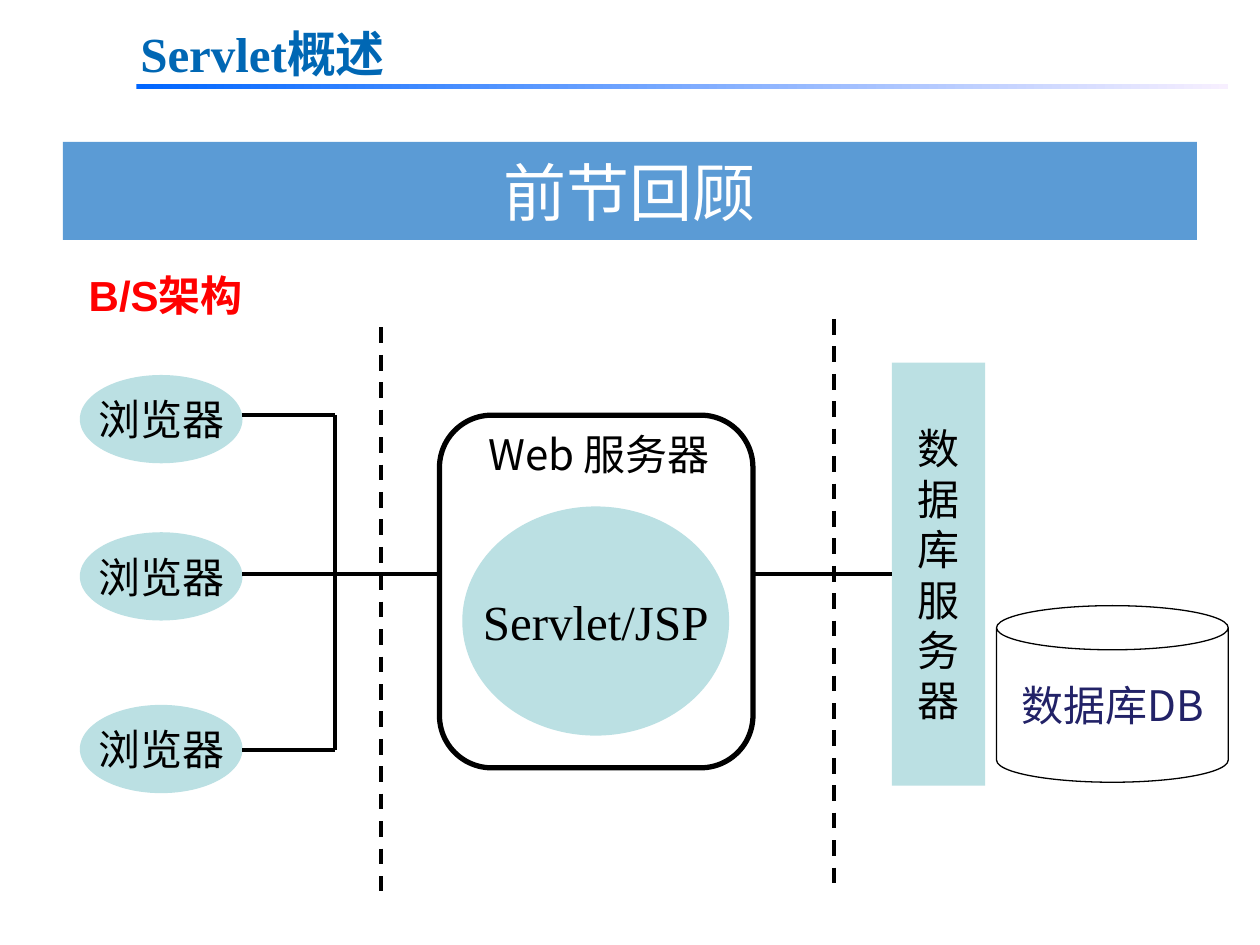
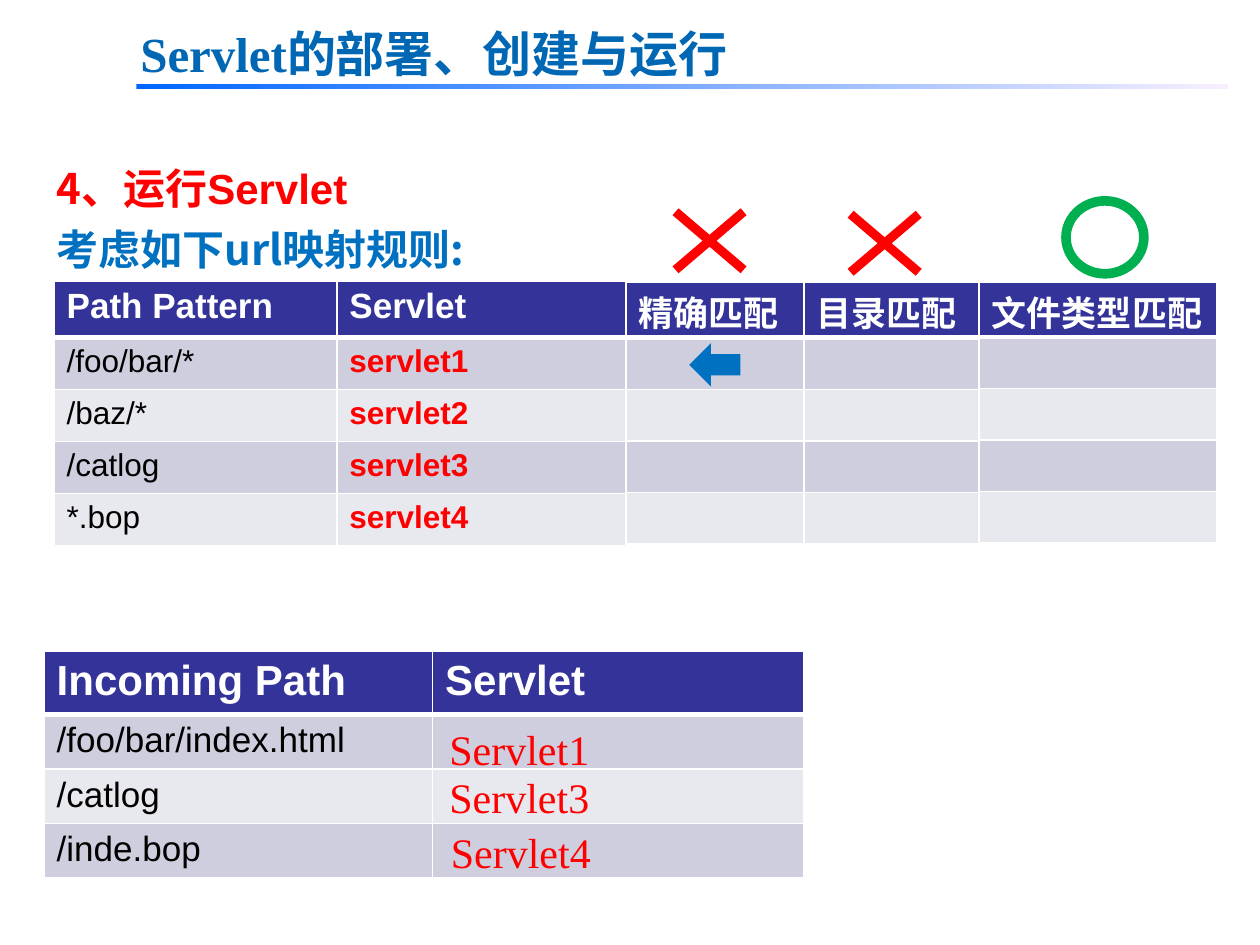
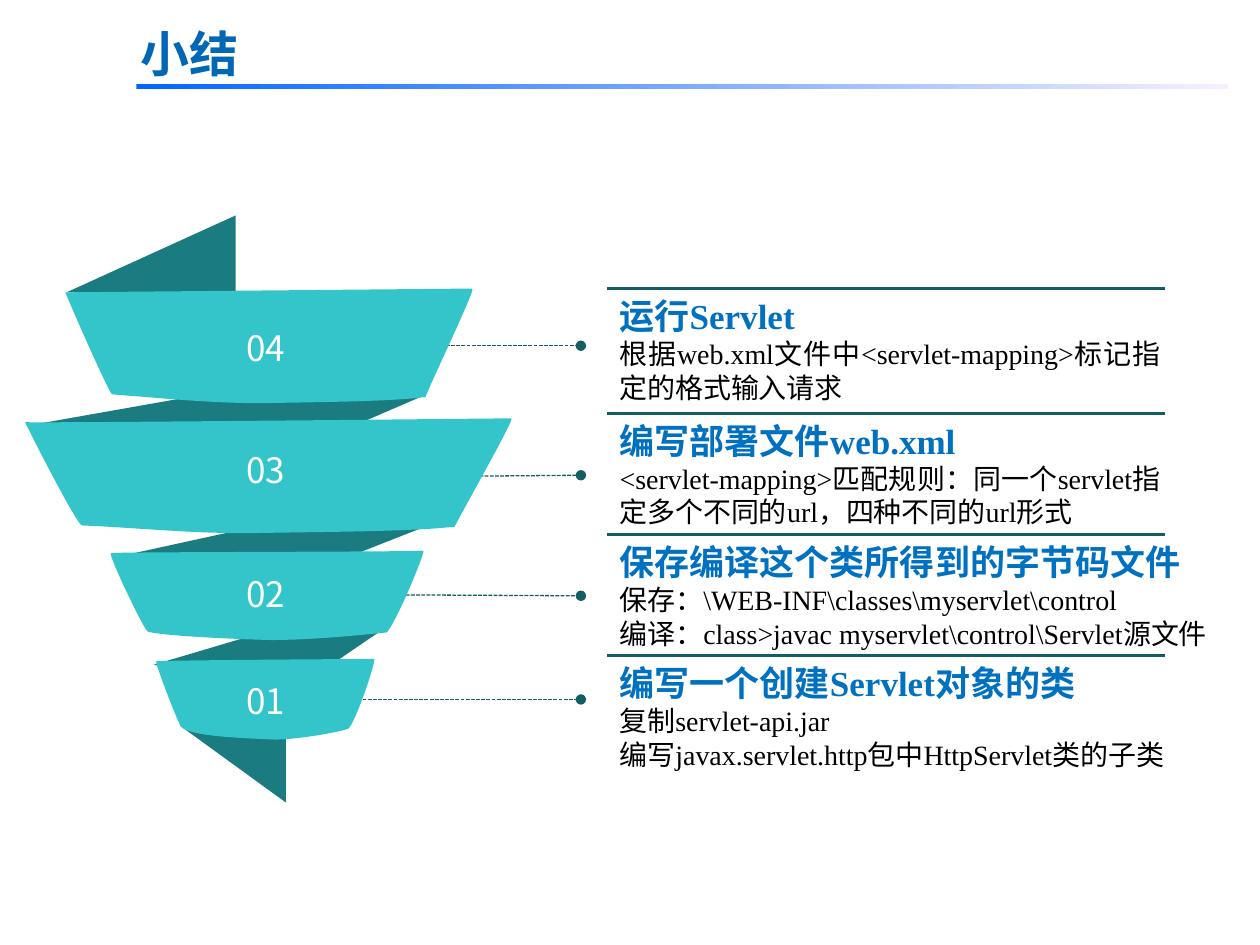
from dataclasses import dataclass, replace
from typing import NamedTuple, Optional

from lxml import etree
from pptx import Presentation
from pptx.dml.color import RGBColor
from pptx.enum.dml import MSO_LINE
from pptx.enum.shapes import MSO_CONNECTOR, MSO_SHAPE
from pptx.enum.text import MSO_ANCHOR, PP_ALIGN
from pptx.oxml.ns import qn
from pptx.util import Cm, Pt

RECTANGLE, OVAL, ROUNDED, CAN = (
    MSO_SHAPE.RECTANGLE, MSO_SHAPE.OVAL, MSO_SHAPE.ROUNDED_RECTANGLE, MSO_SHAPE.CAN)
CROSS, ARROW, RING = MSO_SHAPE.MATH_MULTIPLY, MSO_SHAPE.LEFT_ARROW, MSO_SHAPE.DONUT
STRAIGHT = MSO_CONNECTOR.STRAIGHT
DASH, FINE_DASH = MSO_LINE.DASH, MSO_LINE.SQUARE_DOT
LEFT, CENTER, JUSTIFY = PP_ALIGN.LEFT, PP_ALIGN.CENTER, PP_ALIGN.JUSTIFY
MIDDLE, BOTTOM = MSO_ANCHOR.MIDDLE, MSO_ANCHOR.BOTTOM

COLOURS = {
    "white": "FFFFFF", "black": "000000", "red": "FF0000", "green": "00B050",
    "title": "0067B4", "heading": "0070C0", "banner": "5B9BD5",
    "rule start": "0066FF", "rule end": "F7EFFF",
    "pale teal": "BBE0E3", "database": "222267",
    "header": "333399", "odd row": "CECEDE", "even row": "E8E8EF",
    "ribbon": "34C5CA", "ribbon back": "1A7B80", "dark teal": "145E62",
}
SANS, SERIF, ARIAL = "Noto Sans CJK SC", "Times New Roman", "Arial"
GRID = 0.0254  # ribbon grid unit in cm: the slide is 1000 units wide


class Area(NamedTuple):
    """Left, top, width and height in centimetres."""
    left: float
    top: float
    width: float
    height: float


@dataclass(frozen=True)
class Style:
    size: float
    colour: str = "black"
    font: str = SANS
    bold: bool = False
    leading: float = 1.2


@dataclass(frozen=True)
class Stroke:
    colour: str
    width: float
    dash: Optional[MSO_LINE] = None
    oval_ends: bool = False


@dataclass(frozen=True)
class Grid:
    left: float
    top: float
    columns: tuple
    header_height: float
    row_height: float
    rows: tuple
    header_style: Style
    column_styles: tuple


@dataclass(frozen=True)
class Step:
    """One ribbon of the funnel with its leader line and its explanation."""
    number: str
    number_top: float
    leader: tuple
    top: float
    width: float
    text: str
    outline: tuple


TITLE = Style(28, "title", SERIF, True)
LABEL = Style(24)
STEP_HEADING = Style(20, "heading", SERIF, True)
STEP_BODY = Style(16, font=SERIF)
WIRE = Stroke("black", 2.25)
BOUNDARY = Stroke("black", 2.25, DASH)
LEADER = Stroke("dark teal", 0.75, FINE_DASH, True)
DIVIDER = Stroke("dark teal", 1.5)


def rgb(name: str) -> RGBColor:
    return RGBColor.from_string(COLOURS[name])


# ---- Drawing helpers ----
def format_span(span, style: Style) -> None:
    span.font.size = Pt(style.size)
    span.font.bold = style.bold
    span.font.color.rgb = rgb(style.colour)
    span.font.name = style.font
    etree.SubElement(span.font._element, qn("a:ea")).set("typeface", SANS)


def put_text(frame, text: str, style: Style, align=LEFT, body: Optional[Style] = None) -> None:
    """Style the first paragraph with style and any others with body."""
    frame.text = text
    for index, para in enumerate(frame.paragraphs):
        look = body if body and index else style
        para.alignment = align
        para.line_spacing = Pt(look.size * look.leading)
        for span in para.runs:
            format_span(span, look)


def add_text(page, area: Area, text: str, style: Style, align=LEFT,
             body: Optional[Style] = None):
    box = page.shapes.add_textbox(*map(Cm, area))
    box.text_frame.word_wrap = True
    put_text(box.text_frame, text, style, align, body)
    return box


def paint(shape, fill: Optional[str], stroke: Optional[Stroke] = None) -> None:
    shape.shadow.inherit = False
    if fill:
        shape.fill.solid()
        shape.fill.fore_color.rgb = rgb(fill)
    else:
        shape.fill.background()
    if stroke:
        shape.line.color.rgb = rgb(stroke.colour)
        shape.line.width = Pt(stroke.width)
        outline = shape._element.spPr.find(qn("a:ln"))
        etree.SubElement(outline, qn("a:miter")).set("lim", "800000")
    else:
        shape.line.fill.background()


def add_figure(page, kind, area: Area, fill: Optional[str] = None,
               stroke: Optional[Stroke] = None, text: str = "", style: Style = LABEL,
               anchor=MIDDLE, adjust: Optional[float] = None):
    shape = page.shapes.add_shape(kind, *map(Cm, area))
    paint(shape, fill, stroke)
    if adjust is not None:
        shape.adjustments[0] = adjust
    if text:
        shape.text_frame.word_wrap = False
        shape.text_frame.vertical_anchor = anchor
        put_text(shape.text_frame, text, style, CENTER)
    return shape


def add_line(page, points: tuple, stroke: Stroke) -> None:
    line = page.shapes.add_connector(STRAIGHT, *map(Cm, points))
    line.line.color.rgb = rgb(stroke.colour)
    line.line.width = Pt(stroke.width)
    if stroke.dash:
        line.line.dash_style = stroke.dash
    properties = line._element.spPr
    if stroke.oval_ends:
        for end in ("a:headEnd", "a:tailEnd"):
            etree.SubElement(properties.find(qn("a:ln")), qn(end)).set("type", "oval")
    etree.SubElement(properties, qn("a:effectLst"))


def add_outline(page, points: tuple, fill: str):
    corners = [(Cm(x * GRID), Cm(y * GRID)) for x, y in points]
    builder = page.shapes.build_freeform(*corners[0])
    builder.add_line_segments(corners[1:], close=True)
    shape = builder.convert_to_shape()
    paint(shape, fill)
    return shape


def bend_segments(shape) -> None:
    """Turn every three straight segments into one cubic curve."""
    segments = list(shape._element.iter(qn("a:lnTo")))
    for index in range(0, len(segments), 3):
        curve = etree.Element(qn("a:cubicBezTo"))
        segments[index].addprevious(curve)
        for segment in segments[index:index + 3]:
            curve.append(segment[0])
            segment.getparent().remove(segment)


def border_cell(cell, is_header: bool) -> None:
    properties = cell._tc.get_or_add_tcPr()
    for index, side in enumerate(("a:lnL", "a:lnR", "a:lnT", "a:lnB")):
        edge = etree.Element(qn(side))
        edge.set("w", str(Pt(3 if is_header and side == "a:lnB" else 1)))
        solid = etree.SubElement(edge, qn("a:solidFill"))
        etree.SubElement(solid, qn("a:srgbClr")).set("val", COLOURS["white"])
        properties.insert(index, edge)


def add_grid(page, grid: Grid) -> None:
    count = len(grid.rows)
    height = grid.header_height + (count - 1) * grid.row_height
    table = page.shapes.add_table(
        count, len(grid.columns), Cm(grid.left), Cm(grid.top),
        Cm(sum(grid.columns)), Cm(height)).table
    for column, width in zip(table.columns, grid.columns):
        column.width = Cm(width)
    for row_index, texts in enumerate(grid.rows):
        is_header = row_index == 0
        table.rows[row_index].height = Cm(grid.header_height if is_header else grid.row_height)
        fill = "header" if is_header else ("odd row" if row_index % 2 else "even row")
        for column_index, text in enumerate(texts):
            cell = table.cell(row_index, column_index)
            cell.fill.solid()
            cell.fill.fore_color.rgb = rgb(fill)
            if is_header:
                cell.margin_bottom = Cm(0)
            put_text(cell.text_frame, text,
                     grid.header_style if is_header else grid.column_styles[column_index])
            border_cell(cell, is_header)


def add_page(deck, title: str):
    """Blank page with the shared title and gradient rule."""
    page = deck.slides.add_slide(deck.slide_layouts[6])
    rule = add_figure(page, RECTANGLE, Area(2.75, 1.7, 22.01, 0.1), "rule start")
    rule.fill.gradient()
    rule.fill.gradient_angle = 0
    for stop, position, name in zip(rule.fill.gradient_stops, (0, 1), ("rule start", "rule end")):
        stop.position = position
        stop.color.rgb = rgb(name)
    add_text(page, Area(2.58, 0.36, 16.61, 1.45), title, TITLE, JUSTIFY)
    return page


# ---- Slide 1: browser/server architecture ----
def build_review(deck) -> None:
    page = add_page(deck, "Servlet概述")
    banner = add_figure(page, RECTANGLE, Area(1.27, 2.86, 22.86, 1.98), "banner",
                        text="前节回顾", style=Style(36, "white"), anchor=BOTTOM)
    banner.text_frame.margin_bottom = Cm(0.22)
    for x, top, bottom in ((16.81, 6.43, 17.81), (7.68, 6.6, 17.96)):
        add_line(page, (x, top, x, bottom), BOUNDARY)

    # Browsers and servers
    for top in (7.56, 10.73, 14.21):
        add_figure(page, OVAL, Area(1.61, top, 3.28, 1.78), "pale teal", text="浏览器")
    add_figure(page, ROUNDED, Area(8.86, 8.37, 6.32, 7.11), stroke=Stroke("black", 3),
               adjust=0.167)
    add_figure(page, CAN, Area(20.09, 12.21, 4.67, 3.56), stroke=Stroke("black", 0.75),
               text="数据库DB", style=Style(24, "database"), adjust=0.25)
    add_figure(page, RECTANGLE, Area(17.98, 7.31, 1.88, 8.53), "pale teal",
               text="\n".join("数据库服务器"))

    # Wiring
    for points in ((4.88, 8.37, 6.75, 8.37), (6.75, 8.37, 6.75, 15.11),
                   (4.88, 15.11, 6.75, 15.11), (4.88, 11.58, 8.86, 11.58),
                   (15.16, 11.58, 17.98, 11.58)):
        add_line(page, points, WIRE)

    add_text(page, Area(9.45, 8.51, 5.26, 1.3), "Web 服务器", LABEL, CENTER)
    add_figure(page, OVAL, Area(9.32, 10.21, 5.38, 4.62), "pale teal", text="Servlet/JSP",
               style=Style(28, font=SERIF))
    caption = add_text(page, Area(1.27, 5.13, 3.89, 1.45), "B/S架构",
                       Style(24, "red", ARIAL, True, 1.23)).text_frame
    caption.margin_top = Cm(0.27)
    caption.paragraphs[0]._p.get_or_add_pPr().set("indent", str(Cm(0.27)))


# ---- Slide 2: URL mapping ----
def build_mapping(deck) -> None:
    page = add_page(deck, "Servlet的部署、创建与运行")
    add_text(page, Area(0.89, 4.39, 10.19, 1.27), "考虑如下url映射规则:",
             Style(24, "heading", SANS, True))
    topic = Style(24, "red", SANS, True, 1.8)
    box = add_text(page, Area(0.89, 2.64, 23.6, 1.98), "4、运行", topic, JUSTIFY)
    span = box.text_frame.paragraphs[0].add_run()
    span.text = "Servlet"
    format_span(span, replace(topic, font=ARIAL))

    # Mapping rules and incoming paths
    header = Style(20, "white", ARIAL, True, 1.12)
    pattern = Style(18, font=ARIAL, leading=1.12)
    add_grid(page, Grid(
        1.09, 5.66, (5.7, 5.84), 1.14, 1.05,
        (("Path Pattern", "Servlet"), ("/foo/bar/*", "servlet1"), ("/baz/*", "servlet2"),
         ("/catlog", "servlet3"), ("*.bop", "servlet4")),
        header, (pattern, replace(pattern, colour="red", bold=True))))
    for left, width, height, match in ((12.62, 3.58, 1.12, "精确匹配"),
                                       (16.21, 3.58, 1.12, "目录匹配"),
                                       (19.74, 4.79, 1.1, "文件类型匹配")):
        add_grid(page, Grid(left, 5.69, (width,), height, 1.04, ((match,),) + (("",),) * 4,
                            replace(header, font=SERIF, leading=1.37), (pattern,)))
    incoming = Style(20, font=ARIAL, leading=1.12)
    add_grid(page, Grid(
        0.89, 13.13, (7.83, 7.48), 1.27, 1.1,
        (("Incoming Path", "Servlet"), ("/foo/bar/index.html", ""), ("/catlog", ""),
         ("/inde.bop", "")),
        replace(header, size=24), (incoming, incoming)))
    for left, top, answer in ((8.81, 14.46, "Servlet1"), (8.81, 15.43, "Servlet3"),
                              (8.84, 16.54, "Servlet4")):
        add_text(page, Area(left, top, 7.59, 1.27), answer, Style(24, "red", SERIF))

    # Match marks
    for kind, area, colour, adjust in (
            (CROSS, Area(13.01, 3.75, 2.59, 2.21), "red", 0.067),
            (CROSS, Area(16.54, 3.8, 2.59, 2.21), "red", 0.067),
            (ARROW, Area(13.92, 6.96, 0.99, 0.79), "heading", None),
            (RING, Area(21.41, 3.97, 1.73, 1.63), "green", 0.098)):
        add_figure(page, kind, area, colour, Stroke(colour, 1), adjust=adjust)


# ---- Slide 3: summary funnel ----
# Clockwise rotation and corners of each ribbon's back
RIBBON_BACKS = (
    (0, ((143, 576), (227, 637), (227, 576))),
    (0, ((53, 232), (187, 171), (187, 232))),
    (344.5, ((123, 502), (231, 500), (311, 522), (255, 541))),
    (348.8, ((89, 418), (242, 415), (343, 441), (277, 453))),
    (348.5, ((23, 306), (218, 311), (339, 345), (258, 362))),
)
# Outlines: a start point, then two handles and an end point for each curve
STEPS = (
    Step("03", 8.92, (9.47, 9.6, 11.71, 9.58), 8.33, 11.4,
         "编写部署文件web.xml\n"
         "<servlet-mapping>匹配规则：同一个servlet指定多个不同的url，四种不同的url形式",
         ((20, 335), (20, 336), (402, 332), (406, 332), (409, 332), (360, 418), (361, 418),
          (325, 422), (258, 422), (207, 423), (156, 424), (112, 419), (65, 417),
          (60, 415), (19, 334), (20, 335))),
    Step("02", 11.42, (7.57, 11.99, 11.71, 12.01), 10.78, 12.67,
         "保存编译这个类所得到的字节码文件\n"
         "保存：\\WEB-INF\\classes\\myservlet\\control\n"
         "编译：class>javac myservlet\\control\\Servlet源文件",
         ((88, 439), (89, 438), (334, 438), (336, 437), (338, 437), (316, 491), (307, 502),
          (305, 502), (254, 508), (215, 508), (176, 507), (122, 504), (117, 501),
          (114, 499), (86, 441), (88, 439))),
    Step("01", 13.58, (7.01, 14.1, 11.71, 14.1), 13.21, 12.52,
         "编写一个创建Servlet对象的类\n复制servlet-api.jar\n"
         "编写javax.servlet.http包中HttpServlet类的子类",
         ((124, 525), (125, 524), (296, 523), (297, 523), (299, 523), (284, 569), (277, 578),
          (275, 580), (238, 587), (218, 587), (198, 586), (152, 585), (144, 577),
          (142, 576), (123, 526), (124, 525))),
    Step("04", 6.45, (8.69, 6.97, 11.71, 6.97), 5.82, 11.4,
         "运行Servlet\n根据web.xml文件中<servlet-mapping>标记指定的格式输入请求",
         ((52, 232), (52, 232), (373, 229), (375, 229), (378, 229), (337, 314), (338, 315),
          (308, 319), (252, 319), (209, 320), (166, 320), (129, 316), (89, 313),
          (86, 311), (51, 231), (52, 232))),
)


def build_summary(deck) -> None:
    page = add_page(deck, "小结")
    for step in STEPS:
        add_line(page, step.leader, LEADER)
    for angle, corners in RIBBON_BACKS:
        add_outline(page, corners, "ribbon back").rotation = angle
    for step in STEPS:
        bend_segments(add_outline(page, step.outline, "ribbon"))
    for step in STEPS:
        add_text(page, Area(3.91, step.number_top, 2.9, 1.12), step.number,
                 Style(20, "white"), CENTER)
        add_text(page, Area(12.24, step.top, step.width, 2.46), step.text,
                 STEP_HEADING, JUSTIFY, STEP_BODY)
        add_line(page, (12.24, step.top, 23.49, step.top), DIVIDER)


def main() -> None:
    deck = Presentation()
    deck.slide_width, deck.slide_height = Cm(25.4), Cm(19.05)
    build_review(deck)
    build_mapping(deck)
    build_summary(deck)
    deck.save("out.pptx")


if __name__ == "__main__":
    main()
